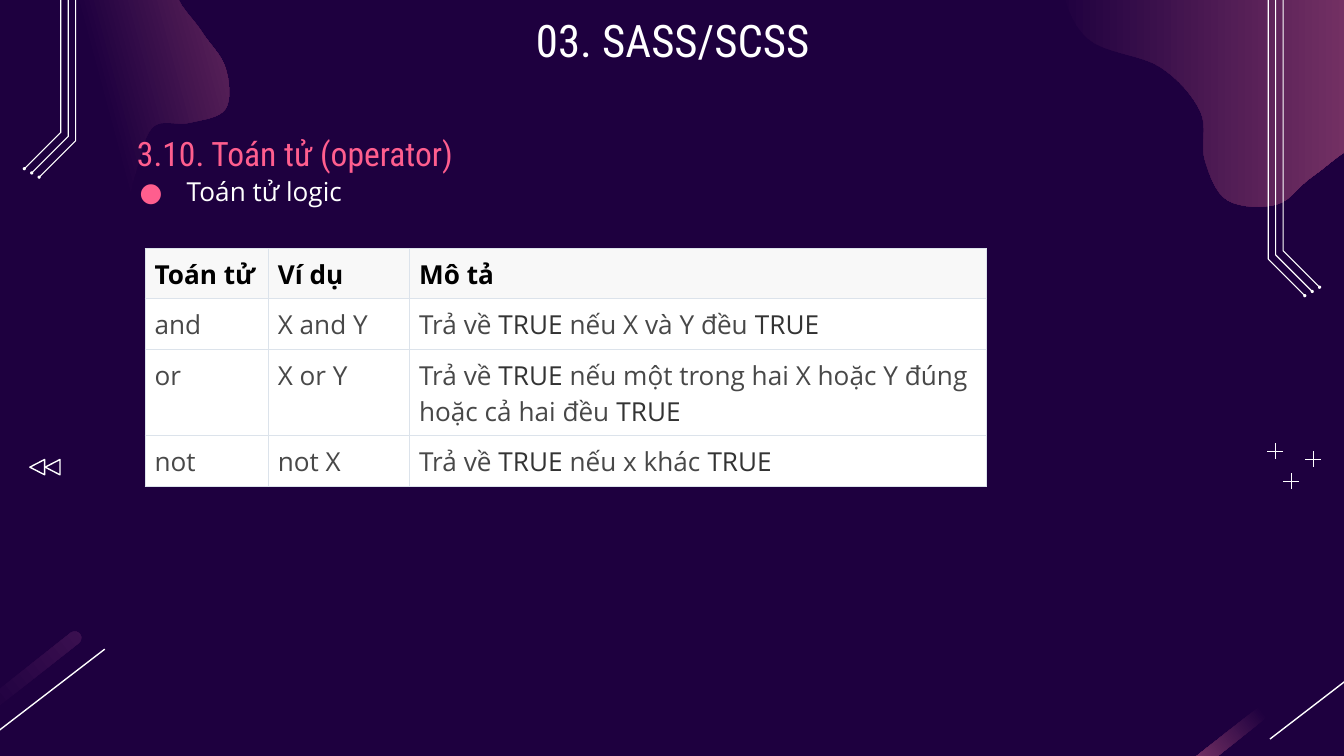
from math import atan2, degrees, hypot
from lxml.etree import SubElement
from pptx import Presentation
from pptx.dml.color import RGBColor
from pptx.enum.shapes import MSO_CONNECTOR as Link, MSO_SHAPE as Kind
from pptx.enum.text import MSO_ANCHOR as Anchor, PP_ALIGN as Align
from pptx.oxml.ns import qn
from pptx.util import Cm, Pt

NIGHT = RGBColor(0x1E, 0x00, 0x3F)
PLUM = RGBColor(0xA6, 0x4D, 0x79)
DUSK = RGBColor(0x3B, 0x10, 0x50)
PINK = RGBColor(0xFF, 0x5E, 0x8E)
WHITE = RGBColor(0xFF, 0xFF, 0xFF)
BLACK = RGBColor(0x00, 0x00, 0x00)
PALE = RGBColor(0xF8, 0xF8, 0xF8)
GREY = RGBColor(0x48, 0x48, 0x48)
DARK = RGBColor(0x33, 0x33, 0x33)
EDGE = RGBColor(0xDC, 0xE3, 0xEB)

BODY, HEAD = "Open Sans", "Roboto Condensed"
WIDE, HIGH = 25.4, 14.29

LOBE = [(54, 100), (63, 92), (65, 83), (68, 72), (74, 71), (80, 68), (80, 59),
        (76, 51), (72, 42), (78, 33), (93, 32), (100, 19), (80, 0), (33, 20),
        (0, 51), (23, 73), (40, 83), (42, 93)]
DRIP = [(100, 61), (94, 37), (80, 23), (60, 21), (42, 11), (32, 2), (19, 1),
        (1, 23), (0, 43), (6, 58), (22, 65), (31, 76), (32, 88), (37, 98),
        (48, 99), (56, 92), (68, 84), (78, 94), (98, 78)]


def smooth(knots, steps=8):
    out = []
    for i in range(len(knots)):
        ring = [knots[(i + k) % len(knots)] for k in (-1, 0, 1, 2)]
        for n in range(steps):
            t = n / steps
            out.append(tuple(
                b + t * (c - a) / 2
                + t ** 2 * (2 * a - 5 * b + 4 * c - d) / 2
                + t ** 3 * (3 * b - a - 3 * c + d) / 2
                for a, b, c, d in zip(*ring)))
    return out


def trace(slide, pts, close):
    pts = [(Cm(x), Cm(y)) for x, y in pts]
    pen = slide.shapes.build_freeform(*pts[0])
    pen.add_line_segments(pts[1:], close=close)
    shape = pen.convert_to_shape()
    shape.shadow.inherit = False
    return shape


def preset(slide, kind, box):
    shape = slide.shapes.add_shape(kind, *map(Cm, box))
    shape.shadow.inherit = False
    return shape


def outline(shape, width):
    shape.fill.background()
    shape.line.color.rgb = WHITE
    shape.line.width = Pt(width)


def shade(shape, start, angle, tint):
    shape.line.fill.background()
    shape.fill.gradient()
    shape.fill.gradient_angle = angle
    for stop, spot, color in zip(shape.fill.gradient_stops, (start, 1), (NIGHT, tint)):
        stop.position = spot
        stop.color.rgb = color


def rule(slide, x1, y1, x2, y2, width):
    line = slide.shapes.add_connector(Link.STRAIGHT, Cm(x1), Cm(y1), Cm(x2), Cm(y2))
    line.line.color.rgb = WHITE
    line.line.width = Pt(width)
    SubElement(line._element.spPr, qn("a:effectLst"))


def blob(slide, box, knots, start, angle):
    x, y, w, h = box
    pts = [(x + w * a / 100, y + h * b / 100) for a, b in smooth(knots)]
    shade(trace(slide, pts, True), start, angle, PLUM)


def streak(slide, box, angle, tint):
    x, y, w, h = box
    long, thick = hypot(w, h) - 0.1, 0.25
    bar = preset(slide, Kind.ROUNDED_RECTANGLE,
                 (x + (w - long) / 2, y + (h - thick) / 2, long, thick))
    bar.adjustments[0] = 0.5
    bar.rotation = -degrees(atan2(h, w))
    shade(bar, 0.5, angle, tint)
    rule(slide, x + 4.23, y + 0.32, x + 2.02, y + 2.02, 0.75)


def rails(slide, box, flip):
    x, y, w, h = box
    gap, rise, turn, dot = 0.14, 0.08, 0.69, 0.06
    for k in range(3):
        near = 0.02 + gap * k
        bend = h - turn - 0.03 - rise * k
        path = [(near, 0), (near, bend), (near + turn, bend + turn)]
        path = [(x + (w - a if flip else a), y + b) for a, b in path]
        outline(trace(slide, path, False), 0.6)
        a, b = path[-1]
        tip = preset(slide, Kind.OVAL, (a - dot / 2, b - dot / 2, dot, dot))
        tip.fill.solid()
        tip.fill.fore_color.rgb = WHITE
        tip.line.fill.background()


def stars(slide, box):
    x, y, w, h = box
    arm = 0.15
    for a, b in ((arm, arm), (0.45, h - arm), (w - arm, 0.3)):
        rule(slide, x + a - arm, y + b, x + a + arm, y + b, 0.6)
        rule(slide, x + a, y + b - arm, x + a, y + b + arm, 0.6)


def rewind(slide, box):
    x, y, w, h = box
    for k in range(2):
        arrow = preset(slide, Kind.ISOSCELES_TRIANGLE, (x + k * w / 2, y, w / 2, h))
        arrow.rotation = 270
        outline(arrow, 0.75)


def write(para, text, size, font, color, bold=False):
    run = para.add_run()
    run.text = text
    run.font.size = Pt(size)
    run.font.name = font
    run.font.bold = bold
    run.font.color.rgb = color


def label(slide, box, text, size, font, color, anchor=Anchor.TOP):
    frame = slide.shapes.add_textbox(*map(Cm, box)).text_frame
    frame.word_wrap = True
    frame.vertical_anchor = anchor
    frame.margin_left = frame.margin_right = Cm(0.25)
    frame.margin_top = frame.margin_bottom = Cm(0.25)
    para = frame.paragraphs[0]
    write(para, text, size, font, color)
    return para


def bullet(para):
    props = para._p.get_or_add_pPr()
    props.set("marL", str(Cm(1.27)))
    props.set("indent", str(Cm(-0.89)))
    tint = SubElement(props, qn("a:buClr"))
    SubElement(tint, qn("a:srgbClr")).set("val", str(PINK))
    SubElement(props, qn("a:buFont")).set("typeface", BODY)
    SubElement(props, qn("a:buChar")).set("char", "●")


def border(cell):
    props = cell._tc.get_or_add_tcPr()
    for side in ("lnL", "lnR", "lnT", "lnB"):
        line = SubElement(props, qn("a:" + side))
        line.set("w", str(Pt(0.58)))
        fill = SubElement(line, qn("a:solidFill"))
        SubElement(fill, qn("a:srgbClr")).set("val", str(EDGE))


def grid(slide, box, rows, cols, highs):
    table = slide.shapes.add_table(len(rows), len(cols), *map(Cm, box)).table
    table.first_row = table.horz_banding = False
    for col, wide in zip(table.columns, cols):
        col.width = Cm(wide)
    for r, (row, high) in enumerate(zip(rows, highs)):
        table.rows[r].height = Cm(high)
        for c, text in enumerate(row):
            cell = table.cell(r, c)
            border(cell)
            cell.fill.solid()
            cell.fill.fore_color.rgb = WHITE if r else PALE
            cell.margin_left = cell.margin_right = Cm(0.18)
            cell.margin_top = cell.margin_bottom = Cm(0.15)
            para = cell.text_frame.paragraphs[0]
            para.space_before, para.space_after = Pt(12), Pt(15)
            for n, part in enumerate(text.split("TRUE")):
                if n:
                    write(para, "TRUE", 14, BODY, DARK)
                if part:
                    write(para, part, 14, BODY, GREY if r else BLACK, r == 0)


def main():
    deck = Presentation()
    deck.slide_width, deck.slide_height = Cm(WIDE), Cm(HIGH)
    slide = deck.slides.add_slide(deck.slide_layouts[6])
    slide.background.fill.solid()
    slide.background.fill.fore_color.rgb = NIGHT

    blob(slide, (-4.93, -3.86, 11.49, 8.71), LOBE, 0.55, 15)
    blob(slide, (20.04, -3.71, 8.53, 7.65), DRIP, 0, 0)
    for left, angle, tint in ((-2.25, 0, DUSK), (21.98, 180, PLUM)):
        streak(slide, (left, 11.95, 3.8, 3), angle, tint)
    for left, top, flip in ((23.95, -3.02, False), (0.43, -5.26, True)):
        rails(slide, (left, top, 1.02, 8.64), flip)
    stars(slide, (23.95, 8.38, 1.02, 0.87))
    rewind(slide, (0.56, 8.69, 0.58, 0.28))

    item = label(slide, (2.01, 2.77, 20.62, 1.55), "Toán tử logic", 14, BODY, WHITE)
    item.line_spacing = 1.5
    bullet(item)
    title = label(slide, (2.01, 0, 21.41, 1.6), "03. SASS/SCSS", 24, HEAD, WHITE)
    title.alignment = Align.CENTER
    topic = label(slide, (2.34, 2.39, 17.83, 1.14), "3.10. Toán tử (operator)",
                  18, HEAD, PINK, Anchor.BOTTOM)
    topic.line_spacing = 1.15
    topic.space_after = Pt(12)

    rows = [
        ("Toán tử", "Ví dụ", "Mô tả"),
        ("and", "X and Y", "Trả về TRUE nếu X và Y đều TRUE"),
        ("or", "X or Y", "Trả về TRUE nếu một trong hai X hoặc Y đúng hoặc cả hai đều TRUE"),
        ("not", "not X", "Trả về TRUE nếu x khác TRUE")]
    grid(slide, (2.74, 4.7, 15.9, 4.5), rows, (2.33, 2.67, 10.9), (0.95, 0.96, 1.63, 0.96))
    deck.save("out.pptx")


if __name__ == "__main__":
    main()
